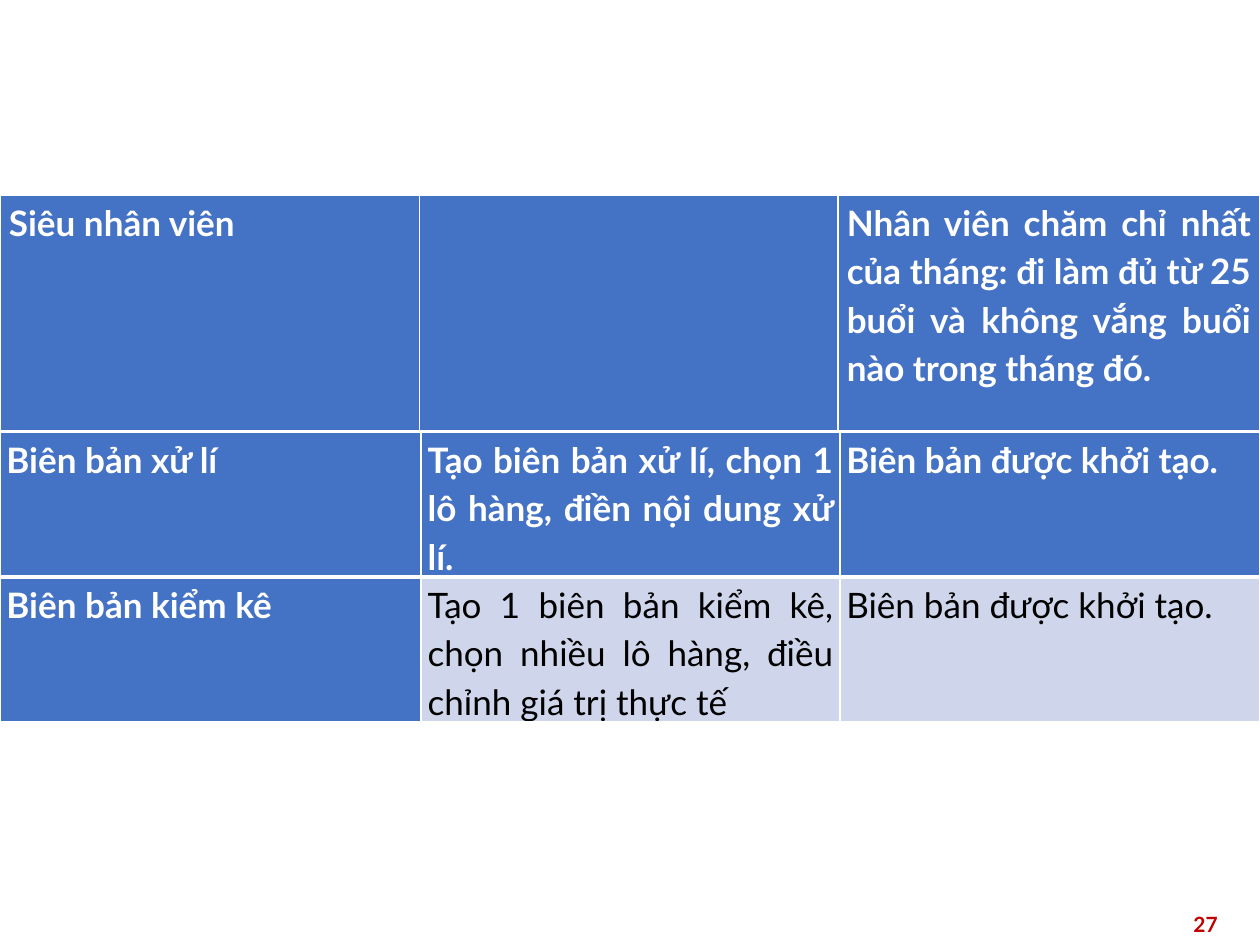
from lxml import etree
from pptx import Presentation
from pptx.dml.color import RGBColor
from pptx.enum import text as t
from pptx.oxml import ns
from pptx.util import Cm, Pt

BLUE = RGBColor(0x44, 0x72, 0xC4)
PALE = RGBColor(0xCF, 0xD5, 0xEA)
WHITE = RGBColor(0xFF, 0xFF, 0xFF)
BLACK = RGBColor(0, 0, 0)
RED = RGBColor(0xC0, 0, 0)
THIN, THICK = 1, 3


def write(frame, words, size=20, color=WHITE, bold=True,
          align=t.PP_ALIGN.JUSTIFY, line=1.15, after=0):
    para = frame.paragraphs[0]
    para.alignment = align
    para.line_spacing = line
    para.space_after = Pt(after)
    run = para.add_run()
    run.text = words
    font = run.font
    font.name, font.size, font.bold = "Lato", Pt(size), bold
    font.color.rgb = color


def edge(cell, side, width):
    """Draw a white border on one side (L, R, T or B); call before filling."""
    props = cell._tc.get_or_add_tcPr()
    line = etree.SubElement(props, ns.qn("a:ln" + side), w=str(Pt(width)))
    fill = etree.SubElement(line, ns.qn("a:solidFill"))
    etree.SubElement(fill, ns.qn("a:srgbClr"), val=str(WHITE))


class Deck:
    def __init__(self):
        self.prs = Presentation()
        self.prs.slide_width, self.prs.slide_height = Cm(25.4), Cm(19.05)
        self.slide = self.prs.slides.add_slide(self.prs.slide_layouts[6])

    def table(self, top, cols, high, pad, rows):
        """Add a full-width table whose first row and first column are blue."""
        frame = self.slide.shapes.add_table(
            len(rows), len(cols), 0, Cm(top), Cm(sum(cols)), Cm(high * len(rows)))
        grid = frame.table
        for col, wide in zip(grid.columns, cols):
            col.width = Cm(wide)
        for r, row in enumerate(rows):
            grid.rows[r].height = Cm(high)
            for c, words in enumerate(row):
                cell = grid.cell(r, c)
                head = r == 0 or c == 0
                widths = {"L": THIN, "R": THIN,
                          "T": THICK if r == 1 else THIN,
                          "B": THICK if r == 0 else THIN}
                for side, width in widths.items():
                    edge(cell, side, width)
                cell.fill.solid()
                cell.fill.fore_color.rgb = BLUE if head else PALE
                cell.margin_left = cell.margin_right = Cm(pad)
                cell.margin_top = cell.margin_bottom = 0
                if words:
                    write(cell.text_frame, words, bold=head,
                          color=WHITE if head else BLACK,
                          after=8 if c == len(cols) - 1 else 0)

    def label(self, words, left, top, wide, high, **style):
        frame = self.slide.shapes.add_textbox(
            Cm(left), Cm(top), Cm(wide), Cm(high)).text_frame
        frame.word_wrap = True
        write(frame, words, **style)


def main():
    deck = Deck()
    deck.label("27", 19.08, 18.26, 5.72, 1.02, size=12, color=RED,
               align=t.PP_ALIGN.RIGHT, line=1)
    deck.table(3.94, [8.46, 8.43, 8.51], 4.78, 0.18, [
        ["Siêu nhân viên", "",
         "Nhân viên chăm chỉ nhất của tháng: đi làm đủ từ 25 buổi "
         "và không vắng buổi nào trong tháng đó."],
    ])
    deck.table(8.71, [8.49, 8.44, 8.47], 1.88, 0.13, [
        ["Biên bản xử lí",
         "Tạo biên bản xử lí, chọn 1 lô hàng, điền nội dung xử lí.",
         "Biên bản được khởi tạo."],
        ["Biên bản kiểm kê",
         "Tạo 1 biên bản kiểm kê, chọn nhiều lô hàng, "
         "điều chỉnh giá trị thực tế",
         "Biên bản được khởi tạo."],
    ])
    deck.prs.save("out.pptx")


if __name__ == "__main__":
    main()
